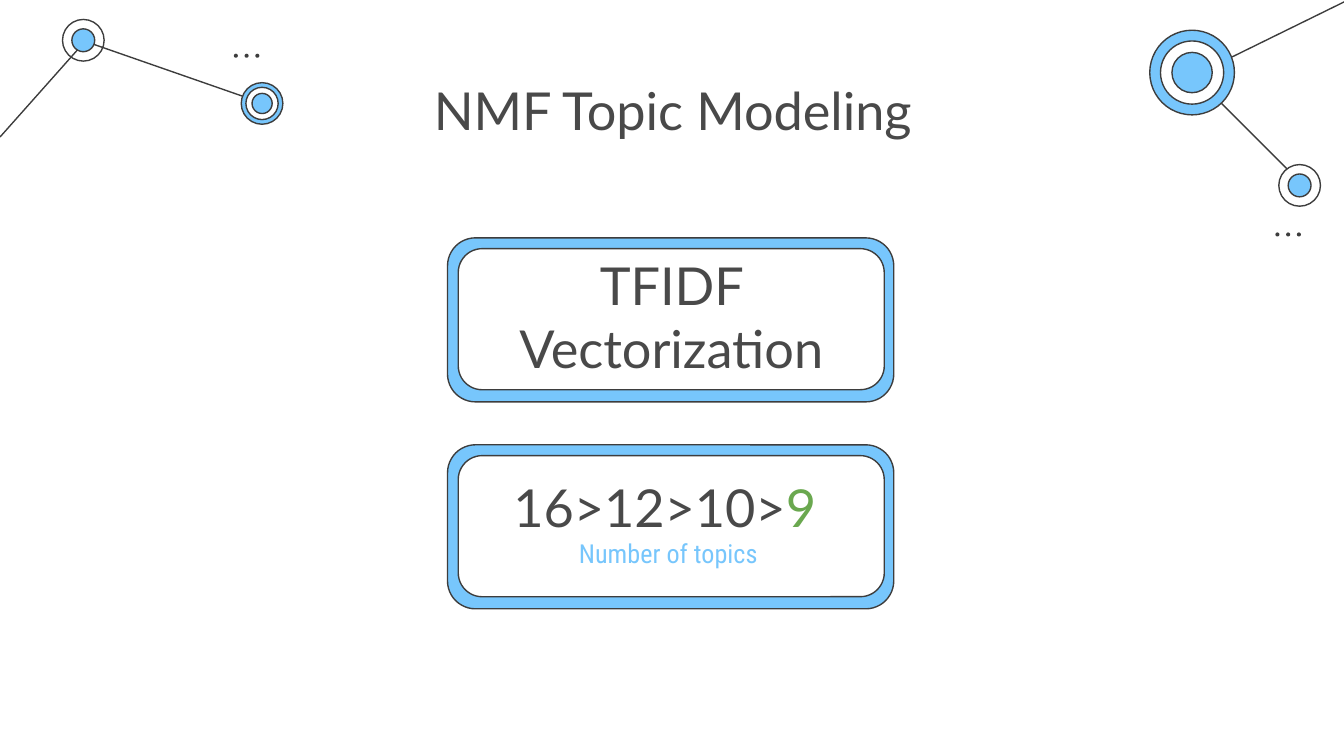
from pptx import Presentation
from pptx.dml.color import RGBColor
from pptx.enum.shapes import MSO_CONNECTOR, MSO_SHAPE
from pptx.enum.text import MSO_ANCHOR, PP_ALIGN
from pptx.oxml.ns import qn
from pptx.util import Inches, Pt
from lxml.etree import SubElement

THEME = {
    "ink": "3D3D3D", "text": "494949", "blue": "77C6FC",
    "white": "FFFFFF", "green": "6AA84F",
    "head": ("Lato", 28), "note": ("Roboto Condensed", 14), "line": 0.75,
}

LINKS = [
    (9.67, 1.35, 8.87, 0.55),
    (0.64, 0.31, 1.96, 0.77),
    (0, 1.02, 0.64, 0.3),
    (10.01, 0.01, 8.91, 0.55),
]
NODES = [
    (0.62, 0.3, [(0.31, None), (0.17, "blue")]),
    (1.95, 0.77, [(0.31, "blue"), (0.24, "white"), (0.15, "blue")]),
    (8.87, 0.54, [(0.63, "blue"), (0.47, "white"), (0.3, "blue")]),
    (9.67, 1.38, [(0.31, "white"), (0.17, "blue")]),
]
DOTS = [(1.74, 0.4), (9.49, 1.73)]
DOT, STEP = 0.03, 0.08
CARDS = [1.77, 3.31]
TEXTS = [
    ((1.72, 0.48, 6.57, 0.65), "head", MSO_ANCHOR.TOP,
     [("NMF Topic Modeling", "text")]),
    ((3.23, 2.05, 3.53, 0.6), "head", MSO_ANCHOR.MIDDLE,
     [("TFIDF Vectorization", "text")]),
    ((3.57, 3.52, 2.85, 0.5), "head", MSO_ANCHOR.MIDDLE,
     [("16>12>10>", "text"), ("9 ", "green")]),
    ((3.57, 3.9, 2.85, 0.24), "note", MSO_ANCHOR.TOP,
     [("Number of topics ", "blue")]),
]


def color(name):
    return RGBColor.from_string(THEME[name])


def stroke(line):
    line.color.rgb = color("ink")
    line.width = Pt(THEME["line"])


def add_form(shapes, kind, box, fill, edge=True):
    form = shapes.add_shape(kind, *map(Inches, box))
    form.shadow.inherit = False
    if fill:
        form.fill.solid()
        form.fill.fore_color.rgb = color(fill)
    else:
        form.fill.background()
    if edge:
        stroke(form.line)
    else:
        form.line.fill.background()
    return form


def add_link(shapes, ends):
    link = shapes.add_connector(MSO_CONNECTOR.STRAIGHT, *map(Inches, ends))
    stroke(link.line)
    SubElement(link._element.spPr, qn("a:effectLst"))


def add_node(shapes, x, y, rings):
    for size, fill in rings:
        box = (x - size / 2, y - size / 2, size, size)
        add_form(shapes, MSO_SHAPE.OVAL, box, fill)


def add_card(shapes, top):
    for box, fill in [((3.33, top, 3.32, 1.22), "blue"),
                      ((3.41, top + 0.08, 3.17, 1.05), "white")]:
        card = add_form(shapes, MSO_SHAPE.ROUNDED_RECTANGLE, box, fill)
        card.adjustments[0] = 0.17


def add_text(shapes, box, style, anchor, runs):
    frame = shapes.add_textbox(*map(Inches, box)).text_frame
    frame.word_wrap = True
    frame.vertical_anchor = anchor
    frame.margin_left = frame.margin_right = Inches(0.1)
    frame.margin_top = frame.margin_bottom = Inches(0.1)
    para = frame.paragraphs[0]
    para.alignment = PP_ALIGN.CENTER
    name, size = THEME[style]
    para.font.name = name
    para.font.size = Pt(size)
    para.font.color.rgb = color(runs[0][1])
    for words, tint in runs:
        run = para.add_run()
        run.text = words
        if tint != runs[0][1]:
            run.font.color.rgb = color(tint)


def main():
    """Build the topic modeling slide."""
    deck = Presentation()
    deck.slide_width = Inches(10)
    deck.slide_height = Inches(10 * 9 / 16)
    shapes = deck.slides.add_slide(deck.slide_layouts[6]).shapes
    for ends in LINKS:
        add_link(shapes, ends)
    for node in NODES:
        add_node(shapes, *node)
    for x, y in DOTS:
        for i in range(3):
            box = (x + i * STEP, y, DOT, DOT)
            add_form(shapes, MSO_SHAPE.OVAL, box, "ink", edge=False)
    for top in CARDS:
        add_card(shapes, top)
    for text in TEXTS:
        add_text(shapes, *text)
    deck.save("out.pptx")


if __name__ == "__main__":
    main()
